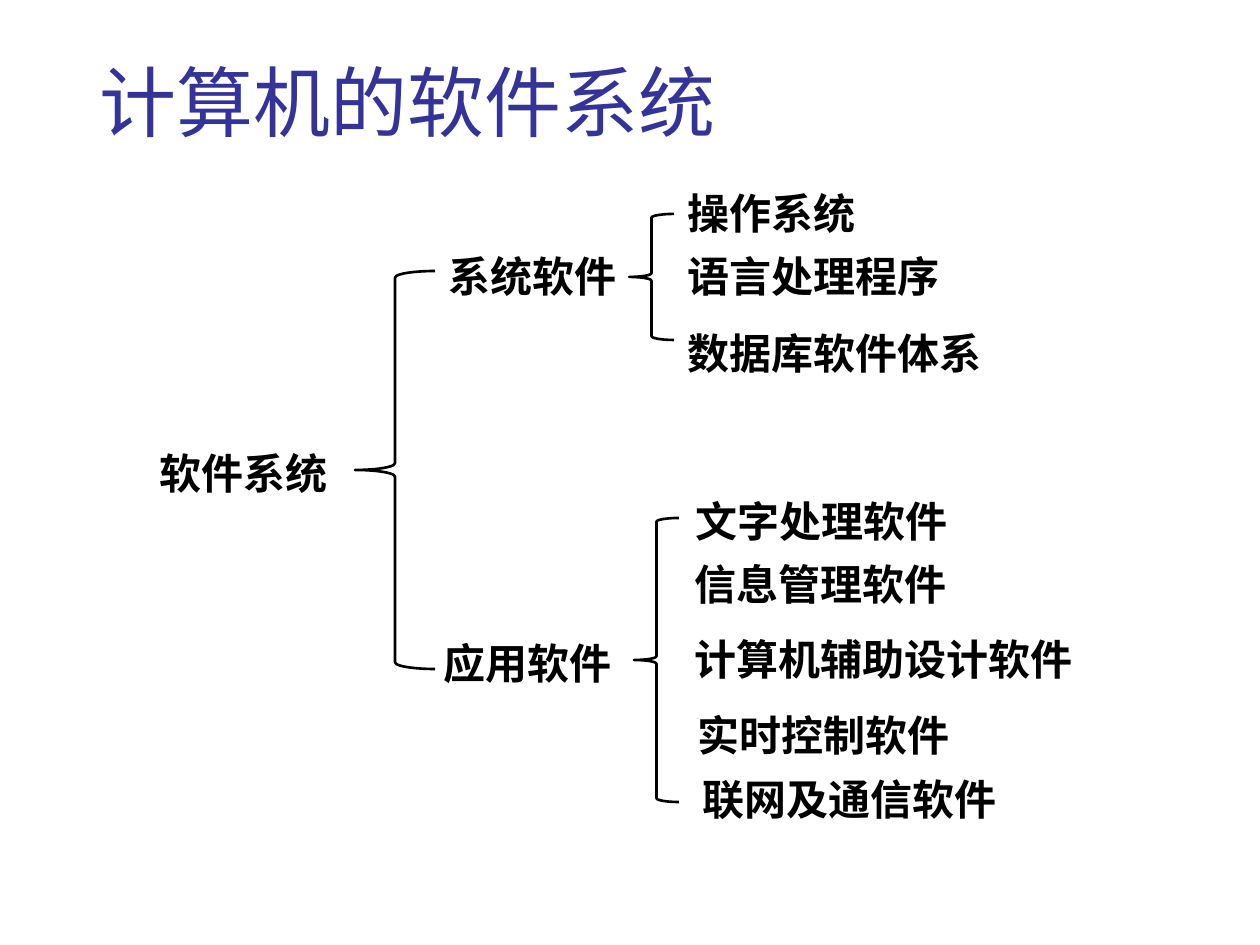
from pptx import Presentation, util as u
from pptx.dml.color import RGBColor
from pptx.enum import shapes, text

PX = 914400 // 126
FONT = "Roboto"
BLACK = "000000"

LABELS = [
    (147, 441, "软件系统"),
    (436, 244, "系统软件"),
    (431, 631, "应用软件"),
    (675, 181, "操作系统"),
    (675, 244, "语言处理程序"),
    (675, 321, "数据库软件体系"),
    (683, 489, "文字处理软件"),
    (682, 552, "信息管理软件"),
    (682, 627, "计算机辅助设计软件"),
    (685, 703, "实时控制软件"),
    (690, 767, "联网及通信软件"),
]
BRACES = [
    (355, 271, 80, 398),
    (629, 214, 45, 126),
    (634, 518, 45, 284),
]


def px(n):
    return u.Emu(n * PX)


def color(code):
    return RGBColor.from_string(code)


def write(slide, words, x, y, w, h, size=24, bold=True, ink=BLACK, wrap=False):
    box = slide.shapes.add_textbox(px(x), px(y), px(w), px(h))
    frame = box.text_frame
    frame.word_wrap = wrap
    frame.vertical_anchor = text.MSO_ANCHOR.TOP
    run = frame.paragraphs[0].add_run()
    run.text = words
    run.font.name = FONT
    run.font.size = u.Pt(size)
    run.font.bold = bold
    run.font.color.rgb = color(ink)


def label(slide, x, y, words):
    """Size the box to its text: 42 px a character plus side insets."""
    write(slide, words, x, y, 42 * len(words) + 25, 63)


def brace(slide, x, y, w, h):
    shape = slide.shapes.add_shape(
        shapes.MSO_SHAPE.LEFT_BRACE, px(x), px(y), px(w), px(h))
    shape.shadow.inherit = False
    shape.fill.background()
    shape.line.color.rgb = color(BLACK)
    shape.line.width = u.Pt(1.5)


def main():
    deck = Presentation()
    deck.slide_width, deck.slide_height = px(1260), px(945)
    slide = deck.slides.add_slide(deck.slide_layouts[6])
    write(slide, "计算机的软件系统", 87, 48, 1087, 183,
          size=44, bold=False, ink="333399", wrap=True)
    for spot in BRACES:
        brace(slide, *spot)
    for item in LABELS:
        label(slide, *item)
    deck.save("out.pptx")


if __name__ == "__main__":
    main()
